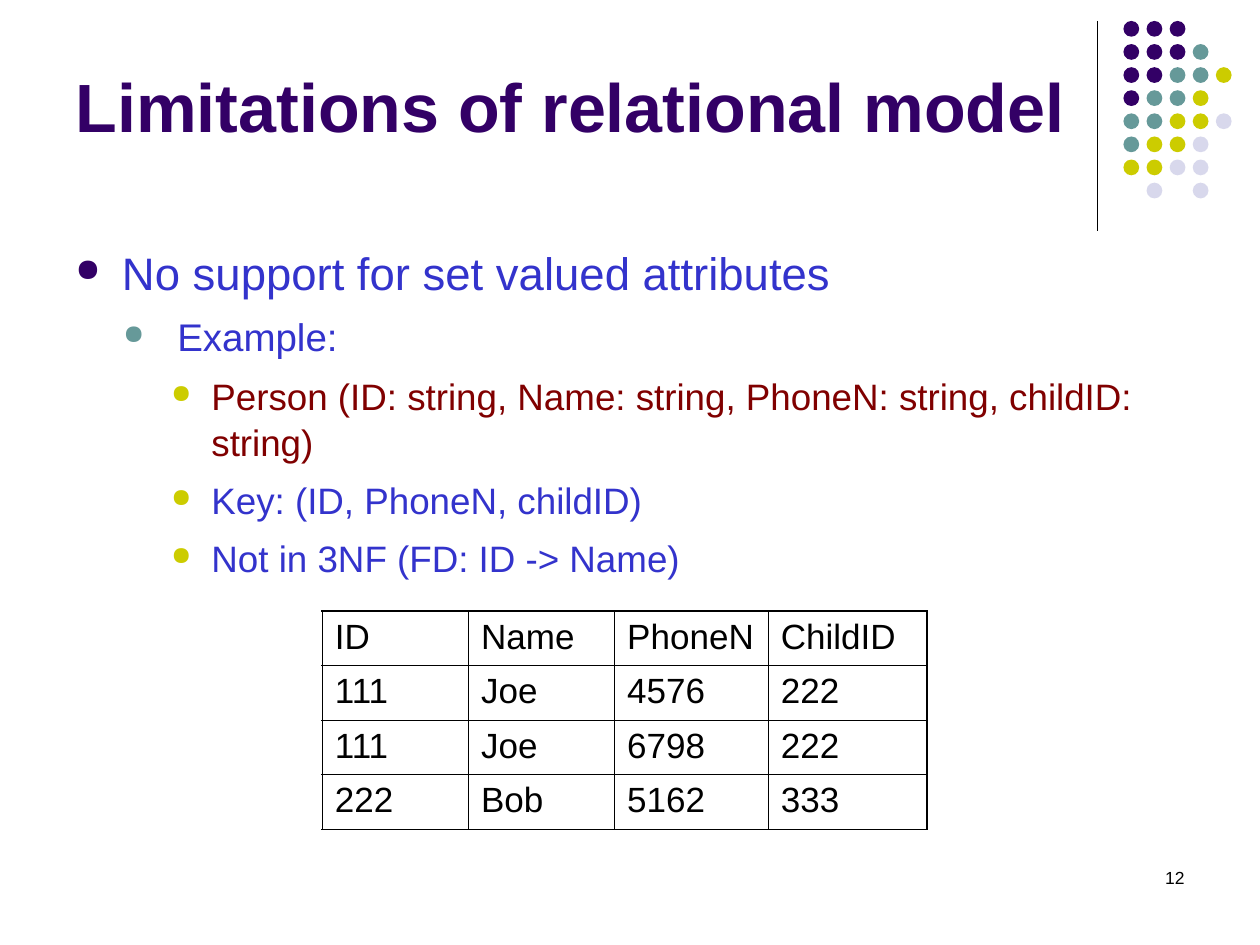
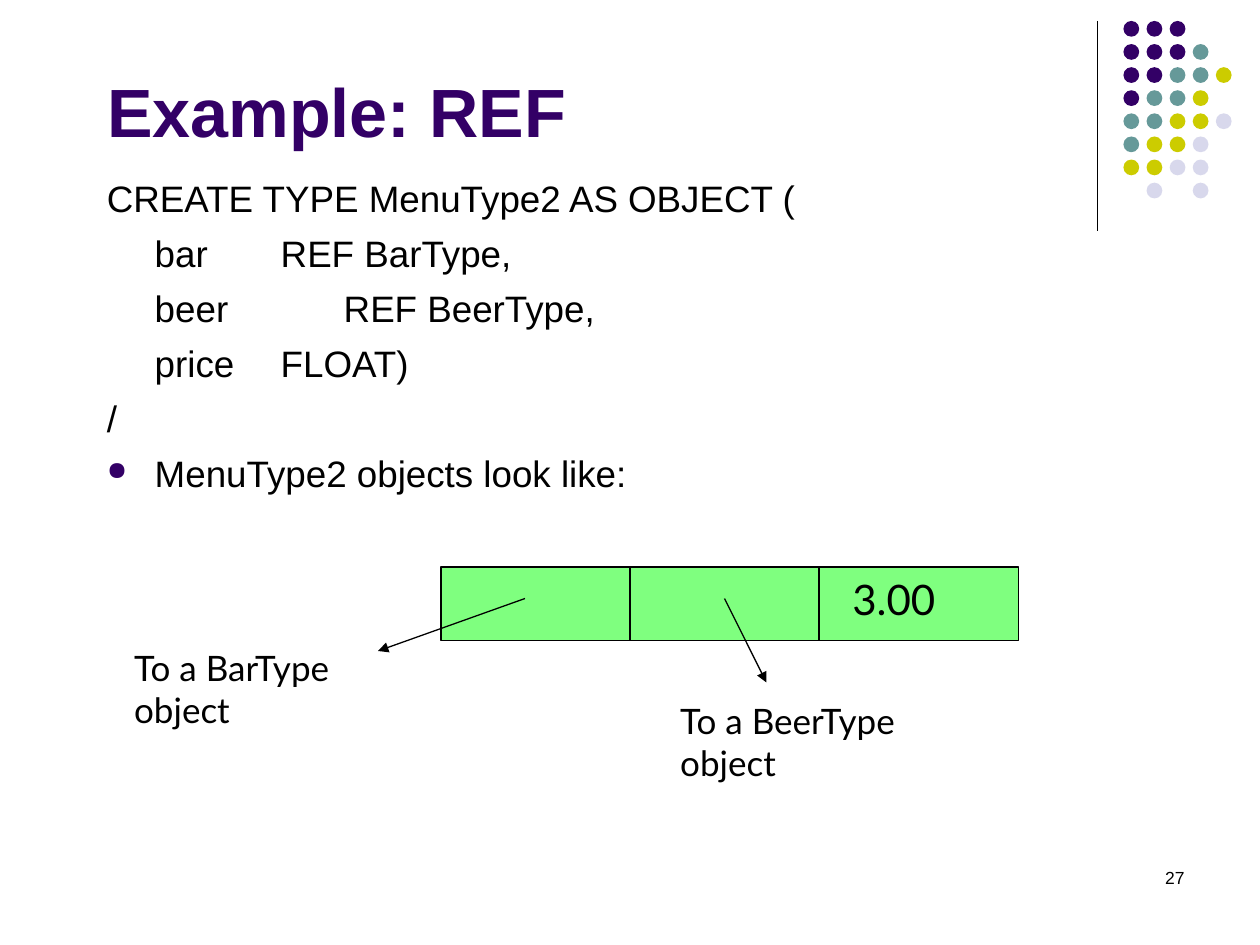
from lxml import etree
from pptx import Presentation
from pptx.dml.color import RGBColor
from pptx.enum.shapes import MSO_CONNECTOR, MSO_SHAPE
from pptx.enum.text import MSO_ANCHOR, MSO_AUTO_SIZE, PP_ALIGN
from pptx.oxml.ns import qn
from pptx.util import Inches, Pt

LINE, OVAL, RECT = MSO_CONNECTOR.STRAIGHT, MSO_SHAPE.OVAL, MSO_SHAPE.RECTANGLE
LEFT, RIGHT = PP_ALIGN.LEFT, PP_ALIGN.RIGHT
MIDDLE, BOTTOM = MSO_ANCHOR.MIDDLE, MSO_ANCHOR.BOTTOM
NO_FIT, GROW = MSO_AUTO_SIZE.NONE, MSO_AUTO_SIZE.SHAPE_TO_FIT_TEXT

BLACK = RGBColor(0x00, 0x00, 0x00)
PURPLE = RGBColor(0x33, 0x00, 0x66)
TEAL = RGBColor(0x66, 0x99, 0x99)
OLIVE = RGBColor(0xCC, 0xCC, 0x00)
LILAC = RGBColor(0xD8, 0xD8, 0xEC)
BLUE = RGBColor(0x33, 0x33, 0xCC)
MAROON = RGBColor(0x80, 0x00, 0x00)
GREEN = RGBColor(0x00, 0xFF, 0x00)

WIDTH, HEIGHT = Inches(10), Inches(7.5)
COLS, ROWS = 120, 90
UNIT = WIDTH // COLS

DOT_COLORS = {"P": PURPLE, "T": TEAL, "Y": OLIVE, "L": LILAC}
DOT_ROWS = ["PPP", "PPPT", "PPTTY", "PTTY", "TTYYL", "TYYL", "YYLL", " L L"]

TITLE = {"name": "Arial", "size": Pt(39), "bold": True, "color": PURPLE}
NUMBER = {"name": "Arial", "size": Pt(10), "color": BLACK}
CELL = {"name": "Arial", "size": Pt(20), "color": BLACK}
CODE = {"name": "Arial", "size": Pt(21), "color": BLACK}
LABEL = {"name": "Lato", "size": Pt(20), "color": BLACK}
VALUE = {**LABEL, "size": Pt(24)}

LEVELS = [
    {"margin": 0.37, "hang": 0.37, "bullet": PURPLE, "size": Pt(26)},
    {"margin": 0.81, "hang": 0.43, "bullet": TEAL, "size": Pt(22)},
    {"margin": 1.08, "hang": 0.32, "bullet": OLIVE, "size": Pt(21)},
]
LIMITS = [
    (0, "No support for set valued attributes", BLUE),
    (1, "Example:", BLUE),
    (2, "Person (ID: string, Name: string, PhoneN: string, childID: string)", MAROON),
    (2, "Key: (ID, PhoneN, childID)", BLUE),
    (2, "Not in 3NF (FD: ID -> Name)", BLUE),
]
PEOPLE = [
    ["ID", "Name", "PhoneN", "ChildID"],
    ["111", "Joe", "4576", "222"],
    ["111", "Joe", "6798", "222"],
    ["222", "Bob", "5162", "333"],
]
MENU_TYPE = [
    "CREATE TYPE MenuType2 AS OBJECT (",
    "\tbar\t\tREF BarType,",
    "\tbeer\t\tREF BeerType,",
    "\tprice\tFLOAT)",
    "/",
]


def units(*values):
    """Turn grid units into lengths."""
    return [round(v * UNIT) for v in values]


def sub(parent, tag, **attrs):
    """Append an XML child with attributes."""
    return etree.SubElement(parent, qn(tag), {k: str(v) for k, v in attrs.items()})


def add_run(p, text, style):
    """Add a run formatted from a dict."""
    r = p.add_run()
    r.text = text
    for key, value in style.items():
        if key == "color":
            r.font.color.rgb = value
        else:
            setattr(r.font, key, value)


def format_paragraph(p, margin, hang, before, bullet=None, tabs=()):
    """Set indents, spacing, bullet and tab stops, in schema order."""
    p.space_before, p.line_spacing = Pt(before), 1.04
    pPr = p._p.get_or_add_pPr()
    pPr.set("marL", str(Inches(margin)))
    pPr.set("indent", str(-Inches(hang)))
    if bullet is None:
        sub(pPr, "a:buNone")
    else:
        sub(sub(pPr, "a:buClr"), "a:srgbClr", val=bullet)
        sub(pPr, "a:buSzPct", val=70000)
        sub(pPr, "a:buChar", char="●")
    if tabs:
        tab_list = sub(pPr, "a:tabLst")
        for stop in tabs:
            sub(tab_list, "a:tab", pos=Inches(stop), algn="l")


def add_text(shapes, box, lines, style, align=LEFT, wrap=True):
    """Add a text box with one paragraph per line."""
    sp = shapes.add_textbox(*units(*box))
    tf = sp.text_frame
    tf.word_wrap = wrap
    tf.auto_size = NO_FIT if wrap else GROW
    for i, line in enumerate(lines):
        p = tf.add_paragraph() if i else tf.paragraphs[0]
        p.alignment = align
        add_run(p, line, style)
    return tf


def add_line(shapes, start, end, arrow=False):
    """Add a thin black line, with an arrowhead if asked."""
    sp = shapes.add_connector(LINE, *units(*start, *end))
    sp.line.color.rgb, sp.line.width = BLACK, Pt(0.75)
    if arrow:
        sub(sp.line._get_or_add_ln(), "a:tailEnd", type="triangle")
    sub(sp._element.spPr, "a:effectLst")


def add_shape(shapes, kind, box, fill):
    """Add a flat filled shape without outline."""
    sp = shapes.add_shape(kind, *units(*box))
    sp.shadow.inherit = False
    sp.fill.solid()
    sp.fill.fore_color.rgb = fill
    sp.line.fill.background()
    return sp


def add_dots(slide, left, top, pitch=2.2, size=1.5):
    """Draw the corner dot pattern beside its rule."""
    add_line(slide.shapes, (left - 2.5, top), (left - 2.5, top + 20))
    shapes = slide.shapes.add_group_shape().shapes
    for row, codes in enumerate(DOT_ROWS):
        for col, code in enumerate(codes):
            if code in DOT_COLORS:
                box = (left + col * pitch, top + row * pitch, size, size)
                add_shape(shapes, OVAL, box, DOT_COLORS[code])


def add_slide(prs, title, box, anchor, number):
    """Start a slide with dots, title and page number."""
    slide = prs.slides.add_slide(prs.slide_layouts[5])
    add_dots(slide, COLS - 13, 2)
    sp = slide.shapes.title
    sp.left, sp.top, sp.width, sp.height = units(*box)
    tf = sp.text_frame
    tf.vertical_anchor, tf.auto_size, tf.word_wrap = anchor, NO_FIT, True
    p = tf.paragraphs[0]
    p.alignment = LEFT
    add_run(p, title, TITLE)
    add_text(slide.shapes, (COLS - 34, ROWS - 8, 28, 6), [number], NUMBER, RIGHT)
    return slide


def add_limits(slide, box):
    """Write the nested bullet list."""
    tf = add_text(slide.shapes, box, [], CODE)
    for i, (level, text, color) in enumerate(LIMITS):
        p = tf.add_paragraph() if i else tf.paragraphs[0]
        p.level = level
        f = LEVELS[level]
        format_paragraph(p, f["margin"], f["hang"], 7, f["bullet"])
        add_run(p, text, {"name": "Arial", "size": f["size"], "color": color})


def set_borders(cell, weights):
    """Draw the four borders of a cell."""
    tcPr = cell._tc.get_or_add_tcPr()
    for side, weight in weights.items():
        ln = sub(tcPr, f"a:ln{side}", w=Pt(weight))
        sub(sub(ln, "a:solidFill"), "a:srgbClr", val=BLACK)


def add_people(slide, box, widths, inner=0.45, outer=1.08):
    """Add the table of people with a heavier frame."""
    rows, cols = len(PEOPLE), len(PEOPLE[0])
    table = slide.shapes.add_table(rows, cols, *units(*box)).table
    table.first_row = table.horz_banding = False
    for column, width in zip(table.columns, widths):
        column.width = Inches(width)
    for i, values in enumerate(PEOPLE):
        for j, value in enumerate(values):
            cell = table.cell(i, j)
            edges = {"L": j == 0, "R": j == cols - 1, "T": i == 0, "B": i == rows - 1}
            set_borders(cell, {k: outer if e else inner for k, e in edges.items()})
            cell.fill.background()
            p = cell.text_frame.paragraphs[0]
            p.space_before = Pt(5)
            add_run(p, value, CELL)


def add_code(slide, box):
    """Write the type definition and the closing bullet."""
    tf = add_text(slide.shapes, box, MENU_TYPE + ["MenuType2 objects look like:"], CODE)
    *code, last = tf.paragraphs
    for p in code:
        format_paragraph(p, 0.38, 0.38, 5.2, tabs=range(8))
    format_paragraph(last, 0.38, 0.38, 5.2, PURPLE)


def add_record(slide, x, y, width, height, field=18):
    """Draw the record with its fields and references."""
    shapes = slide.shapes.add_group_shape().shapes
    sp = add_shape(shapes, RECT, (x, y, width, height), GREEN)
    sub(sp._element.spPr.find(".//" + qn("a:srgbClr")), "a:alpha", val=50000)
    sp.line.color.rgb, sp.line.width = BLACK, Pt(0.75)
    for k in (1, 2):
        add_line(shapes, (x + k * field, y), (x + k * field, y + height))
    add_text(shapes, (x + 38, y, 10.3, 6), ["3.00"], VALUE, wrap=False)
    add_line(shapes, (x + 8, y + 3), (x - 6, y + 8), True)
    add_line(shapes, (x + 27, y + 3), (x + 31, y + 11), True)
    for name, dx, dy, w in [("Bar", -30.4, 7, 22.8), ("Beer", 21.6, 12, 24.7)]:
        box = (x + dx, y + dy, w, 9.2)
        add_text(shapes, box, [f"To a {name}Type", "object"], LABEL, wrap=False)


def main():
    """Build and save both slides."""
    prs = Presentation()
    prs.slide_width, prs.slide_height = WIDTH, HEIGHT
    slide = add_slide(prs, "Limitations of relational model", (6, 1.5, 99, 17), MIDDLE, "12")
    add_limits(slide, (6, 22.5, 107, 33.7))
    add_people(slide, (30.7, 58.2, 57.6, 20.8), [1.16, 1.16, 1.22, 1.26])
    slide = add_slide(prs, "Example: REF", (9, 0, 102, 15), BOTTOM, "27")
    add_code(slide, (9, 16, 102, 54))
    add_record(slide, 42, 54, 55, 7)
    prs.save("out.pptx")


if __name__ == "__main__":
    main()
